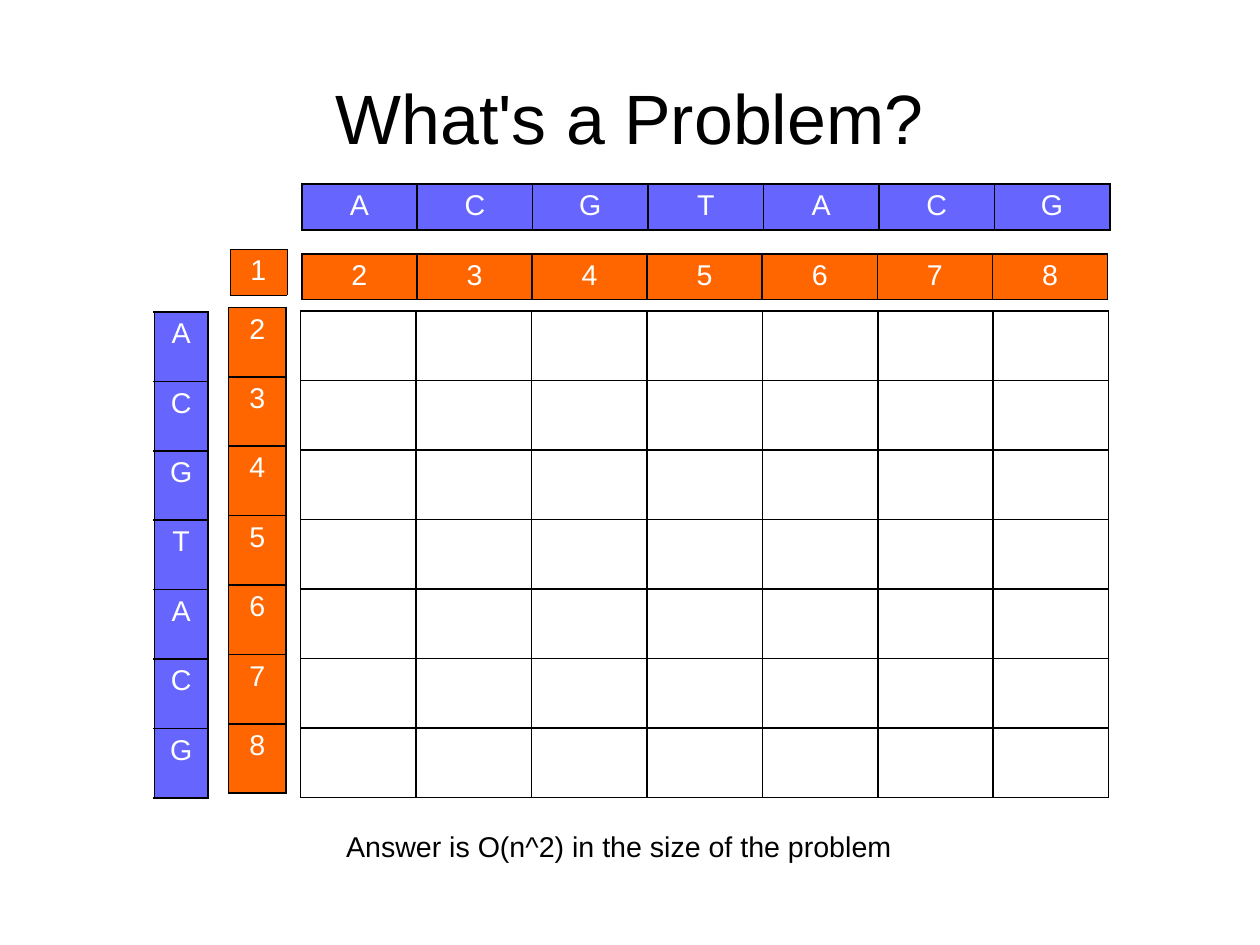
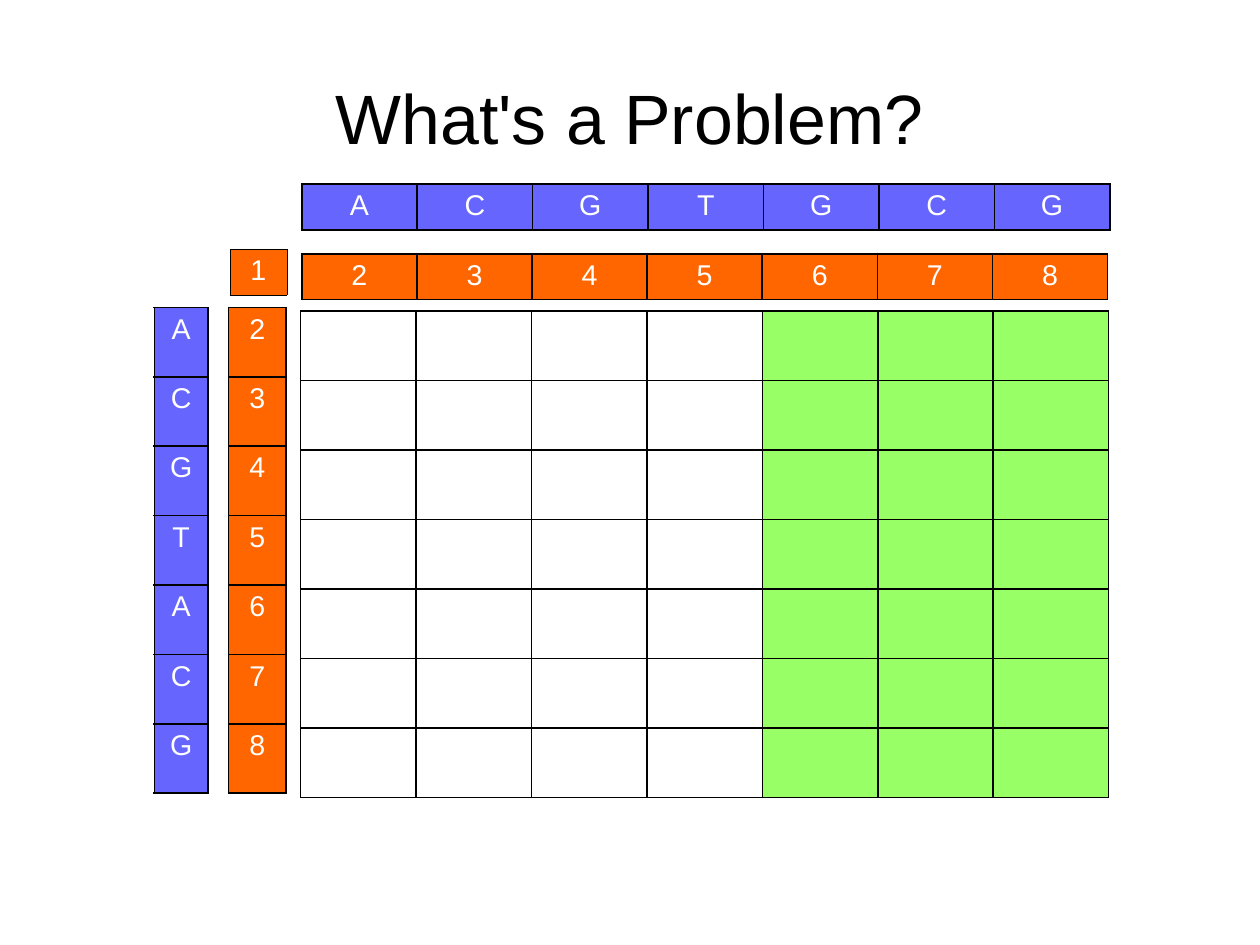
import pptx
import pptx.dml.color
import pptx.enum.text
import pptx.oxml
import pptx.oxml.ns
import pptx.util

SLIDE_W, SLIDE_H = pptx.util.Cm(28), pptx.util.Cm(21)
FONT = "Arial"
BLACK, WHITE = "000000", "FFFFFF"
BLUE, ORANGE, GREEN = "6666FF", "FF6600", "99FF66"
N = 7
GRID_W, GRID_H = 7.07, 4.26
BOARD = (1.35, 1.61)
INDICES = [str(i) for i in range(2, N + 2)]
CENTER = pptx.enum.text.PP_ALIGN.CENTER
MIDDLE = pptx.enum.text.MSO_ANCHOR.MIDDLE


def color(value):
    return pptx.dml.color.RGBColor.from_string(value)


def inches(*values):
    return [pptx.util.Inches(v) for v in values]


def set_margins(target, *sides):
    (target.margin_left, target.margin_top,
     target.margin_right, target.margin_bottom) = inches(*sides)


def style(p, size, hex_color, align=None):
    p.font.name = FONT
    p.font.size = pptx.util.Pt(size)
    p.font.color.rgb = color(hex_color)
    p.alignment = align


def set_borders(cell, width):
    tc_pr = cell._tc.get_or_add_tcPr()
    for side in ("lnL", "lnR", "lnT", "lnB"):
        tc_pr.append(pptx.oxml.parse_xml(
            f'<a:{side} {pptx.oxml.ns.nsdecls("a")} w="{int(pptx.util.Pt(width))}">'
            f'<a:solidFill><a:srgbClr val="{BLACK}"/></a:solidFill></a:{side}>'))


def add_grid(slide, box, texts, fills, border=1.13):
    n_rows, n_cols = len(texts), len(texts[0])
    table = slide.shapes.add_table(n_rows, n_cols, *inches(*box)).table
    table.first_row = table.horz_banding = False
    for r in range(n_rows):
        for c in range(n_cols):
            cell = table.cell(r, c)
            set_borders(cell, border)
            cell.fill.solid()
            cell.fill.fore_color.rgb = color(fills[c])
            set_margins(cell, 0.04, 0.05, 0.04, 0.05)
            cell.text = texts[r][c]
            style(cell.text_frame.paragraphs[0], 18, WHITE, CENTER)


def add_row(slide, box, labels, fill):
    add_grid(slide, box, [labels], [fill] * len(labels))


def add_column(slide, box, labels, fill):
    add_grid(slide, box, [[label] for label in labels], [fill])


def add_board(slide, origin, across, down, down_offset, fills):
    x, y = origin
    grid_x, grid_y = x + 1.28, y + 1.11
    side_h = GRID_H - 0.01
    add_grid(slide, (grid_x, grid_y, GRID_W, GRID_H), [[""] * N] * N, fills)
    add_row(slide, (grid_x + 0.01, y + 0.61, GRID_W - 0.02, 0.4), INDICES, ORANGE)
    add_row(slide, (grid_x + 0.01, y, GRID_W, 0.4), across, BLUE)
    add_column(slide, (x + 0.65, grid_y - 0.03, 0.5, side_h), INDICES, ORANGE)
    add_column(slide, (x, grid_y + down_offset, 0.47, side_h), down, BLUE)
    add_grid(slide, (x + 0.66, y + 0.57, 0.5, 0.4), [["1"]], [ORANGE], 0.06)


def add_title(slide, text):
    sp = slide.shapes.title
    sp.left, sp.top = int(0.05 * SLIDE_W), int(0.04 * SLIDE_H)
    sp.width, sp.height = int(0.9 * SLIDE_W), int(0.167 * SLIDE_H)
    tf = sp.text_frame
    tf.text = text
    tf.vertical_anchor = MIDDLE
    set_margins(tf, 0, 0, 0, 0)
    style(tf.paragraphs[0], 44, BLACK, CENTER)


def add_caption(slide, box, text):
    tf = slide.shapes.add_textbox(*inches(*box)).text_frame
    tf.word_wrap = False
    tf.text = text
    style(tf.paragraphs[0], 18, BLACK)


def add_problem_slide(prs, across, down, down_offset, fills, caption=None):
    slide = prs.slides.add_slide(prs.slide_layouts[5])
    add_title(slide, "What's a Problem?")
    add_board(slide, BOARD, across, down, down_offset, fills)
    if caption:
        add_caption(slide, (2.93, 7.2, 4.97, 0.38), caption)


def main():
    prs = pptx.Presentation()
    prs.slide_width, prs.slide_height = SLIDE_W, SLIDE_H
    add_problem_slide(prs, "ACGTACG", "ACGTACG", 0.01, [WHITE] * N,
                      "Answer is O(n^2) in the size of the problem")
    add_problem_slide(prs, "ACGTGCG", "ACGTACG", -0.03,
                      [WHITE] * 4 + [GREEN] * 3)
    prs.save("out.pptx")


if __name__ == "__main__":
    main()
